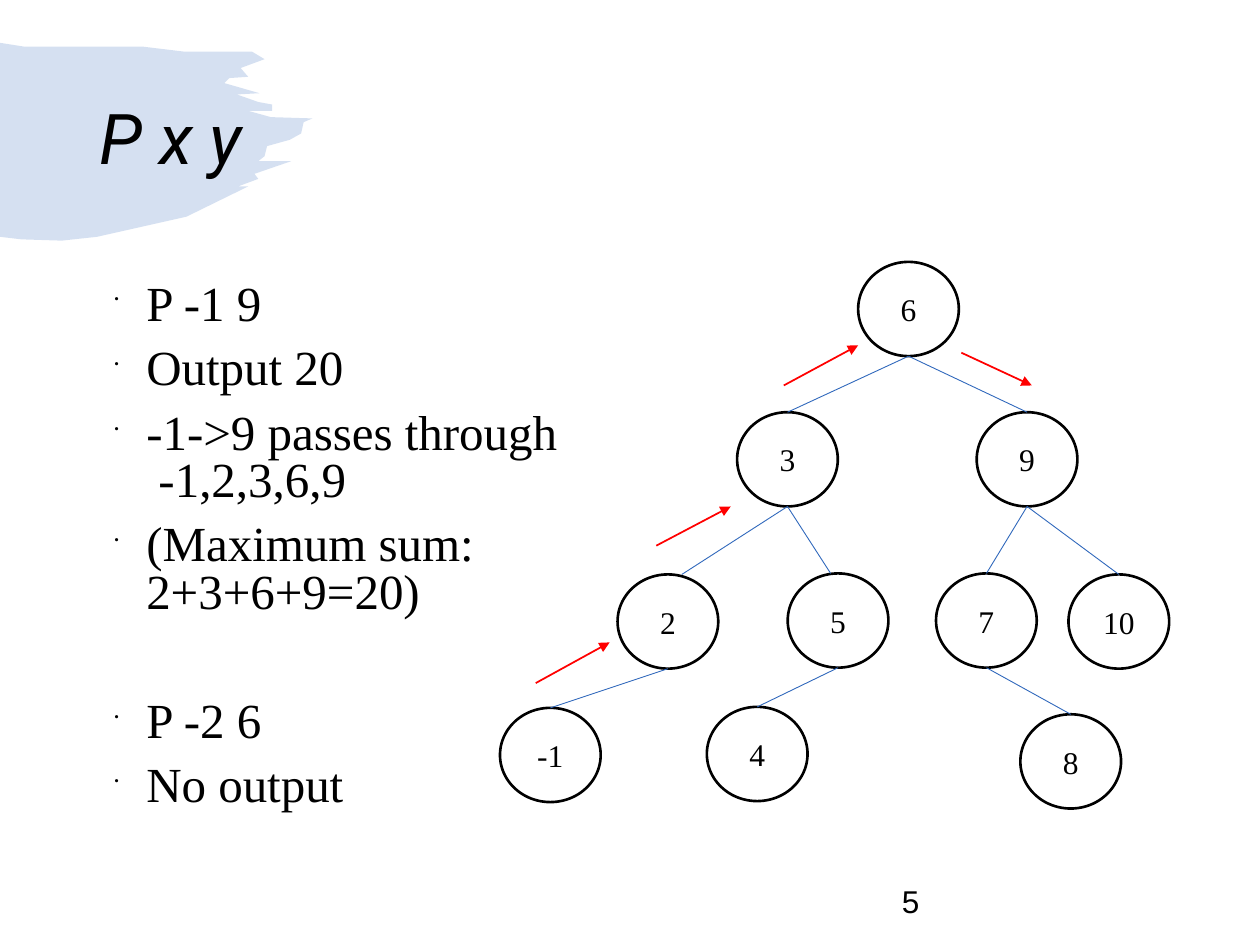
from lxml.etree import SubElement
from pptx import Presentation
from pptx.dml.color import RGBColor
from pptx.enum.shapes import MSO_CONNECTOR as CONN, MSO_SHAPE as SHAPE
from pptx.enum.text import MSO_ANCHOR as ANCHOR, PP_ALIGN as ALIGN
from pptx.oxml.ns import qn
from pptx.util import Cm, Pt


def paint(color, value):
    color.rgb = RGBColor.from_string(value)


def add_line(x1, y1, x2, y2, value, width):
    s = slide.shapes.add_connector(CONN.STRAIGHT, Cm(x1), Cm(y1), Cm(x2), Cm(y2))
    paint(s.line.color, value)
    s.line.width = Pt(width)
    SubElement(s._element.spPr, qn("a:effectLst"))
    return s


prs = Presentation()
prs.slide_width, prs.slide_height = Cm(25.4), Cm(19.05)
slide = prs.slides.add_slide(prs.slide_layouts[6])

outline = [
    (19, 37), (113, 37), (146, 41), (200, 41), (210, 47), (191, 54), (197, 61),
    (182, 62), (178, 66), (206, 74), (188, 75), (205, 81), (216, 83), (216, 88),
    (197, 88), (215, 93), (248, 94), (241, 97), (239, 106), (230, 111), (212, 116),
    (210, 124), (205, 128), (231, 128), (202, 138), (205, 142), (189, 148),
    (197, 148), (148, 172), (77, 188), (49, 191), (17, 190), (0, 188),
]
brush = slide.shapes.build_freeform(0, 34, scale=Cm(0.0254))
brush.add_line_segments(outline, close=True)
s = brush.convert_to_shape()
s.shadow.inherit = False
s.fill.solid()
paint(s.fill.fore_color, "3068BC")
s.line.fill.background()
alpha = SubElement(s._element.spPr.find(qn("a:solidFill"))[0], qn("a:alpha"))
alpha.set("val", "20000")

texts = [
    ((1.75, 1.02, 21.92, 3.68), ["P x y"], "Roboto", 40),
    ((2.06, 5.59, 10.06, 11.71),
     ["P -1 9", "Output 20", "-1->9 passes through\v -1,2,3,6,9",
      "(Maximum sum: 2+3+6+9=20)", "P -2 6", "No output"], "Times New Roman", 28),
    ((17.93, 17.65, 5.72, 1.02), ["5"], "Arial", 18),
]
frames = []
for box, lines, font, size in texts:
    tf = slide.shapes.add_textbox(*[Cm(v) for v in box]).text_frame
    tf.word_wrap = True
    tf.text = "\n".join(lines)
    for p in tf.paragraphs:
        for r in p.runs:
            r.font.name, r.font.size = font, Pt(size)
            paint(r.font.color, "000000")
    frames.append(tf)

title, body, number = frames
title.vertical_anchor = ANCHOR.MIDDLE
title.paragraphs[0].line_spacing = 0.9
title.paragraphs[0].runs[0].font.italic = True

for p in body.paragraphs:
    p.line_spacing = 0.8
    p.space_before = Pt(47 if p.text == "P -2 6" else 10)
    pPr = p._p.get_or_add_pPr()
    pPr.set("marL", str(Cm(0.64)))
    pPr.set("indent", str(Cm(-0.64)))
    SubElement(SubElement(pPr, qn("a:buClr")), qn("a:srgbClr")).set("val", "000000")
    SubElement(pPr, qn("a:buSzPct")).set("val", "25000")
    SubElement(pPr, qn("a:buChar")).set("char", "•")

node_w, node_h = 2.03, 1.9
nodes = {
    "6": (17.3, 5.28), "9": (19.69, 8.31), "3": (14.86, 8.31), "2": (12.45, 11.58),
    "5": (15.88, 11.56), "7": (18.87, 11.56), "10": (21.54, 11.58),
    "-1": (10.08, 14.27), "4": (14.25, 14.25), "8": (20.57, 14.4),
}
for label, (x, y) in nodes.items():
    s = slide.shapes.add_shape(SHAPE.OVAL, Cm(x), Cm(y), Cm(node_w), Cm(node_h))
    s.shadow.inherit = False
    s.fill.solid()
    paint(s.fill.fore_color, "FFFFFF")
    paint(s.line.color, "000000")
    s.line.width = Pt(1.5)
    tf = s.text_frame
    tf.text = label
    tf.vertical_anchor = ANCHOR.MIDDLE
    p = tf.paragraphs[0]
    p.alignment = ALIGN.CENTER
    r = p.runs[0]
    r.font.name, r.font.size = "Times New Roman", Pt(18)
    paint(r.font.color, "000000")

edges = ["6 3", "6 9", "3 2", "3 5", "9 7", "9 10", "2 -1", "5 4", "7 8"]
shifts = {"2": 0.28, "5": -0.15}
for edge in edges:
    parent, child = edge.split()
    (x1, y1), (x2, y2) = nodes[parent], nodes[child]
    add_line(x1 + node_w / 2, y1 + node_h,
             x2 + node_w / 2 + shifts.get(child, 0), y2, "3068BC", 0.5)

steps = [(10.8, 13.77, 12.29, 12.95), (13.23, 11, 14.73, 10.21),
         (15.8, 7.77, 17.3, 6.96), (19.38, 7.11, 20.8, 7.77)]
for step in steps:
    s = add_line(*step, "FF0000", 1)
    SubElement(s.line._get_or_add_ln(), qn("a:tailEnd")).set("type", "triangle")

prs.save("out.pptx")
